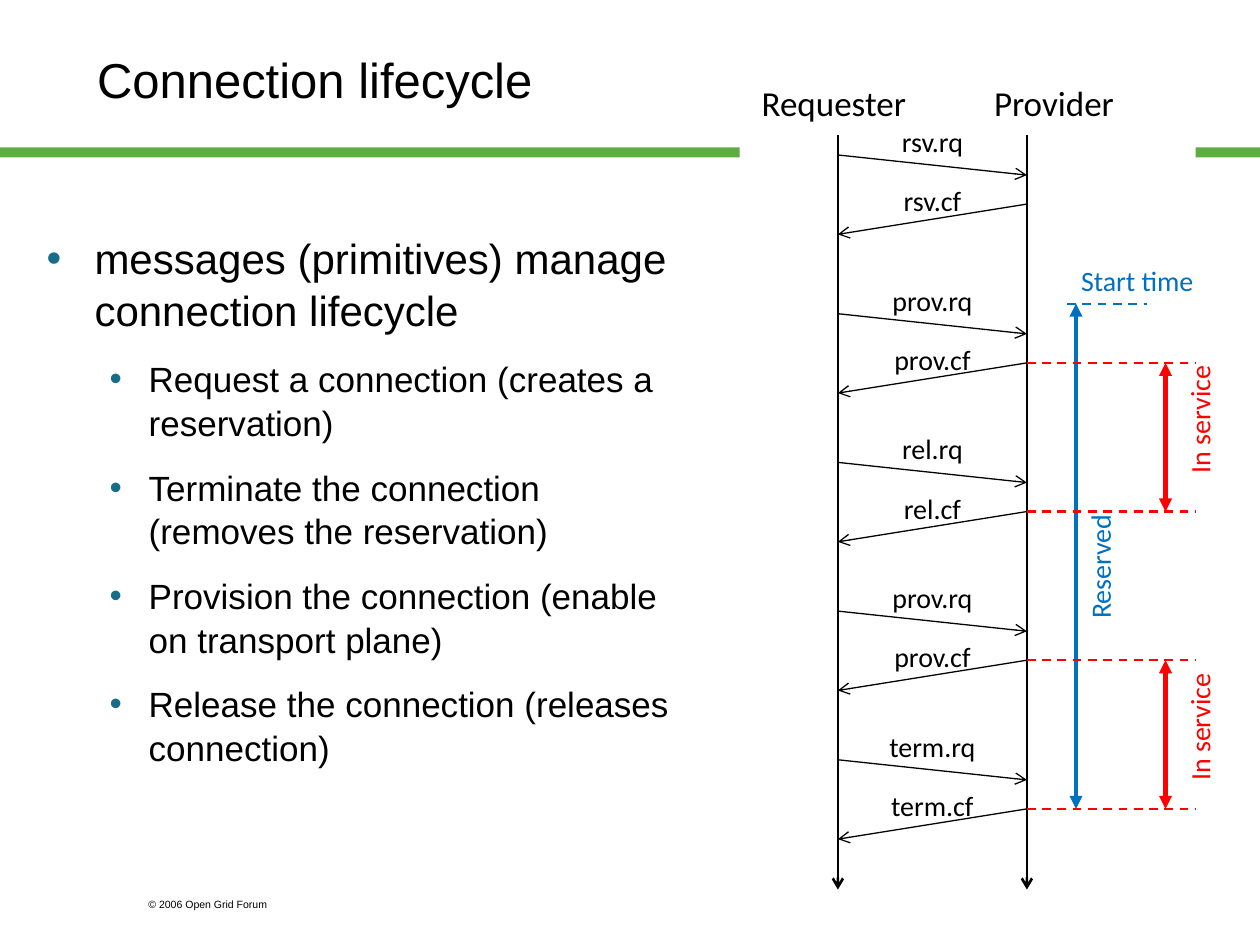
from dataclasses import dataclass

from lxml.etree import SubElement
from pptx import Presentation
from pptx.dml.color import RGBColor
from pptx.enum.dml import MSO_LINE
from pptx.enum.shapes import MSO_CONNECTOR, MSO_SHAPE
from pptx.enum.text import MSO_ANCHOR, MSO_AUTO_SIZE, PP_ALIGN
from pptx.oxml.ns import qn
from pptx.slide import Slide
from pptx.util import Inches, Pt

BLACK = RGBColor(0x00, 0x00, 0x00)
WHITE = RGBColor(0xFF, 0xFF, 0xFF)
GREEN = RGBColor(0x5D, 0xAD, 0x41)
TEAL = RGBColor(0x17, 0x6D, 0x89)
BLUE = RGBColor(0x00, 0x70, 0xC0)
RED = RGBColor(0xFF, 0x00, 0x00)

TITLE = "Connection lifecycle"
POINTS = [
    (0, "messages (primitives) manage connection lifecycle"),
    (1, "Request a connection (creates a reservation)"),
    (1, "Terminate the connection (removes the reservation)"),
    (1, "Provision the connection (enable on transport plane)"),
    (1, "Release the connection (releases connection)"),
]
LEVELS = [(24, 0.38, 0.38), (20, 0.81, 0.31)]  # size, margin, hanging indent
EXCHANGES = ["rsv", "prov", "rel", "prov", "term"]


def place(sp, left, top, width, height):
    sp.left, sp.top = Inches(left), Inches(top)
    sp.width, sp.height = Inches(width), Inches(height)


def style_font(font, name, size, color):
    font.name, font.size = name, Pt(size)
    font.color.rgb = color


def set_indent(p, margin, hanging):
    pPr = p._p.get_or_add_pPr()
    pPr.set("marL", str(Inches(margin)))
    pPr.set("indent", str(-Inches(hanging)))
    return pPr


def add_rect(slide, left, top, width, height, color):
    sp = slide.shapes.add_shape(MSO_SHAPE.RECTANGLE, Inches(left), Inches(top),
                                Inches(width), Inches(height))
    sp.shadow.inherit = False
    sp.fill.solid()
    sp.fill.fore_color.rgb = color
    sp.line.fill.background()


def add_label(slide, text, left, top, width, height, size,
              font="Calibri", color=BLACK, align=PP_ALIGN.RIGHT, rotation=0):
    sp = slide.shapes.add_textbox(Inches(left), Inches(top),
                                  Inches(width), Inches(height))
    sp.rotation = rotation
    tf = sp.text_frame
    tf.word_wrap = True
    tf.text = text
    p = tf.paragraphs[0]
    p.alignment = align
    style_font(p.runs[0].font, font, size, color)


def add_title(slide, left, top, width, height):
    sp = slide.shapes.title
    place(sp, left, top, width, height)
    tf = sp.text_frame
    tf.text = TITLE
    tf.auto_size = MSO_AUTO_SIZE.NONE
    tf.vertical_anchor = MSO_ANCHOR.MIDDLE
    p = tf.paragraphs[0]
    p.alignment = PP_ALIGN.LEFT
    set_indent(p, 0.38, 0.38)
    style_font(p.runs[0].font, "Arial", 28, BLACK)


def add_points(slide, left, top, width, height):
    sp = slide.placeholders[1]
    place(sp, left, top, width, height)
    tf = sp.text_frame
    tf.text = "\n".join(text for _, text in POINTS)
    tf.auto_size = MSO_AUTO_SIZE.NONE
    tf.margin_right = Inches(0.14)
    for p, (level, _) in zip(tf.paragraphs, POINTS):
        size, margin, hanging = LEVELS[level]
        p.level = level
        p.line_spacing = 1.04
        p.space_before = Pt(12 * level)
        pPr = set_indent(p, margin, hanging)
        bullet_color = SubElement(pPr, qn("a:buClr"))
        SubElement(bullet_color, qn("a:srgbClr"), val=str(TEAL))
        SubElement(pPr, qn("a:buFont"), typeface="Arial")
        SubElement(pPr, qn("a:buChar"), char="•")
        style_font(p.runs[0].font, "Arial", size, BLACK)


@dataclass
class Panel:
    """Drawing area whose parts are placed relative to its top left corner."""
    slide: Slide
    left: float
    top: float

    def line(self, x1, y1, x2, y2, color, width, head=None, tail=None, dash=False):
        s = self.slide.shapes.add_connector(
            MSO_CONNECTOR.STRAIGHT,
            Inches(self.left + x1), Inches(self.top + y1),
            Inches(self.left + x2), Inches(self.top + y2))
        s.line.color.rgb = color
        s.line.width = Pt(width)
        if dash:
            s.line.dash_style = MSO_LINE.DASH
        ln = s.line._get_or_add_ln()
        for tag, kind in (("a:headEnd", head), ("a:tailEnd", tail)):
            if kind:
                SubElement(ln, qn(tag), type=kind)
        SubElement(s._element.spPr, qn("a:effectLst"))

    def span(self, x, y1, y2, color):
        self.line(x, y1, x, y2, color, 2.5, "triangle", "triangle")

    def label(self, text, x, y, width, height=0.37, size=16, **style):
        add_label(self.slide, text, self.left + x, self.top + y,
                  width, height, size, **style)


def add_sequence(slide, left, top, width, height):
    """Message sequence between requester and provider, with its time spans."""
    add_rect(slide, left, top, width, height, WHITE)
    panel = Panel(slide, left, top)
    requester, provider, edge = 0.78, 2.28, width
    panel.label("Requester", -0.08, 0.39, 1.5, 0.44, 20)
    panel.label("Provider", 1.65, 0.39, 1.42, 0.44, 20)
    for x in (requester, provider):
        panel.line(x, 0.86, x, 6.85, BLACK, 1.5, tail="arrow")

    # The first exchange stands a little apart; the others are evenly spaced.
    requests = [1.02] + [2.28 + 1.18 * i for i in range(len(EXCHANGES) - 1)]
    confirms = [y + 0.39 for y in requests]
    for name, rq, cf in zip(EXCHANGES, requests, confirms):
        panel.line(requester, rq, provider, rq + 0.16, BLACK, 0.75, tail="arrow")
        panel.line(provider, cf, requester, cf + 0.24, BLACK, 0.75, tail="arrow")
        for suffix, y in (("rq", rq - 0.29), ("cf", cf - 0.21)):
            panel.label(f"{name}.{suffix}", 1.02, y, 1.02, align=PP_ALIGN.CENTER)

    start, end = 2.2, confirms[-1]
    panel.span(2.67, start, end, BLUE)
    panel.line(2.6, start, 3.23, start, BLUE, 1.25, dash=True)
    panel.label("Start time", 2.36, 1.83, 1.34, color=BLUE)
    panel.label("Reserved", 2.27, 4.18, 1.18, color=BLUE, rotation=270)

    for y in confirms[1:]:
        panel.line(provider, y, edge, y, RED, 1.25, dash=True)
    for begin, finish, label_y in ((1, 2, 3.0), (3, 4, 5.44)):
        panel.span(3.38, confirms[begin], confirms[finish], RED)
        panel.label("In service", 3.06, label_y, 1.18, color=RED, rotation=270)


def main():
    prs = Presentation()
    prs.slide_width, prs.slide_height = Inches(10), Inches(7.5)
    slide = prs.slides.add_slide(prs.slide_layouts[1])
    add_rect(slide, 0, 1.17, 10, 0.08, GREEN)
    add_label(slide, "© 2006 Open Grid Forum", 1.08, 7.08, 1.5, 0.2, 6,
              font="Arial", align=PP_ALIGN.LEFT)
    add_title(slide, 0.67, 0, 8.6, 1.25)
    add_points(slide, 0.27, 1.78, 5.36, 5.48)
    add_sequence(slide, 5.87, 0.21, 3.62, 1.26)
    prs.save("out.pptx")


if __name__ == "__main__":
    main()
